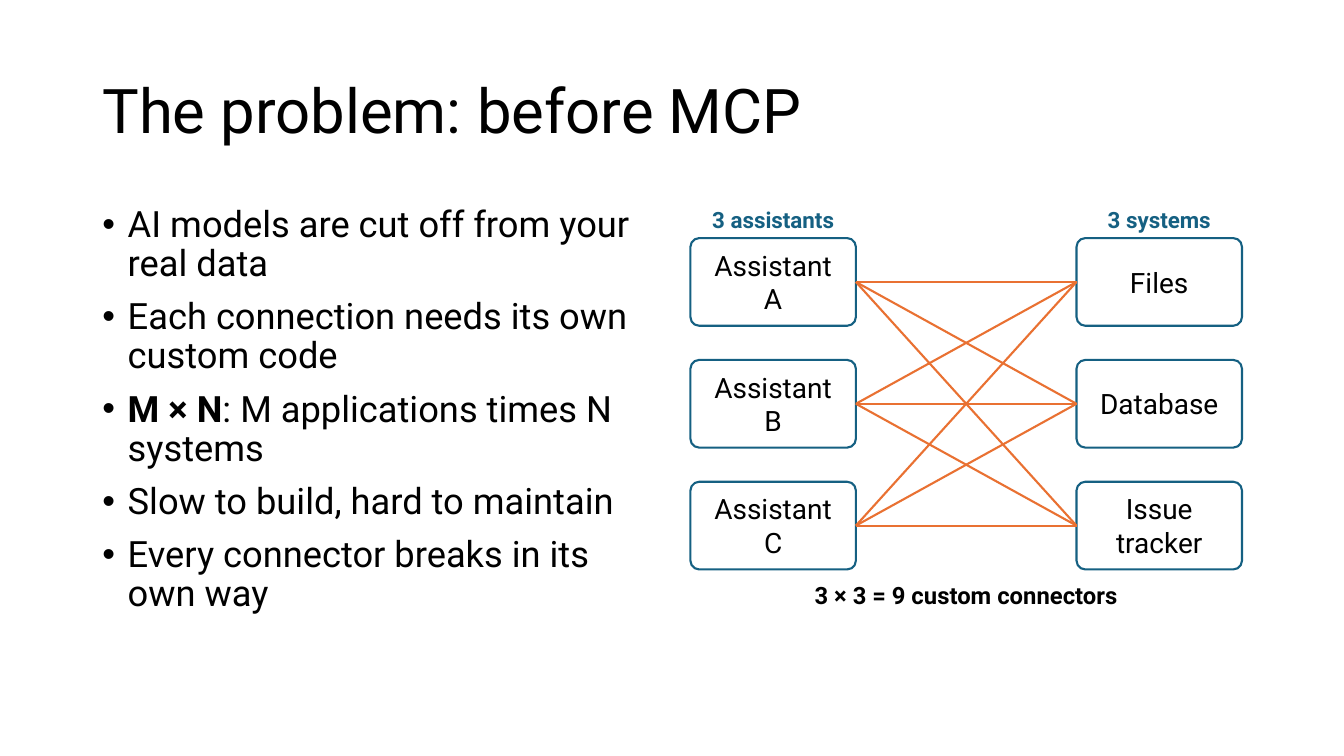
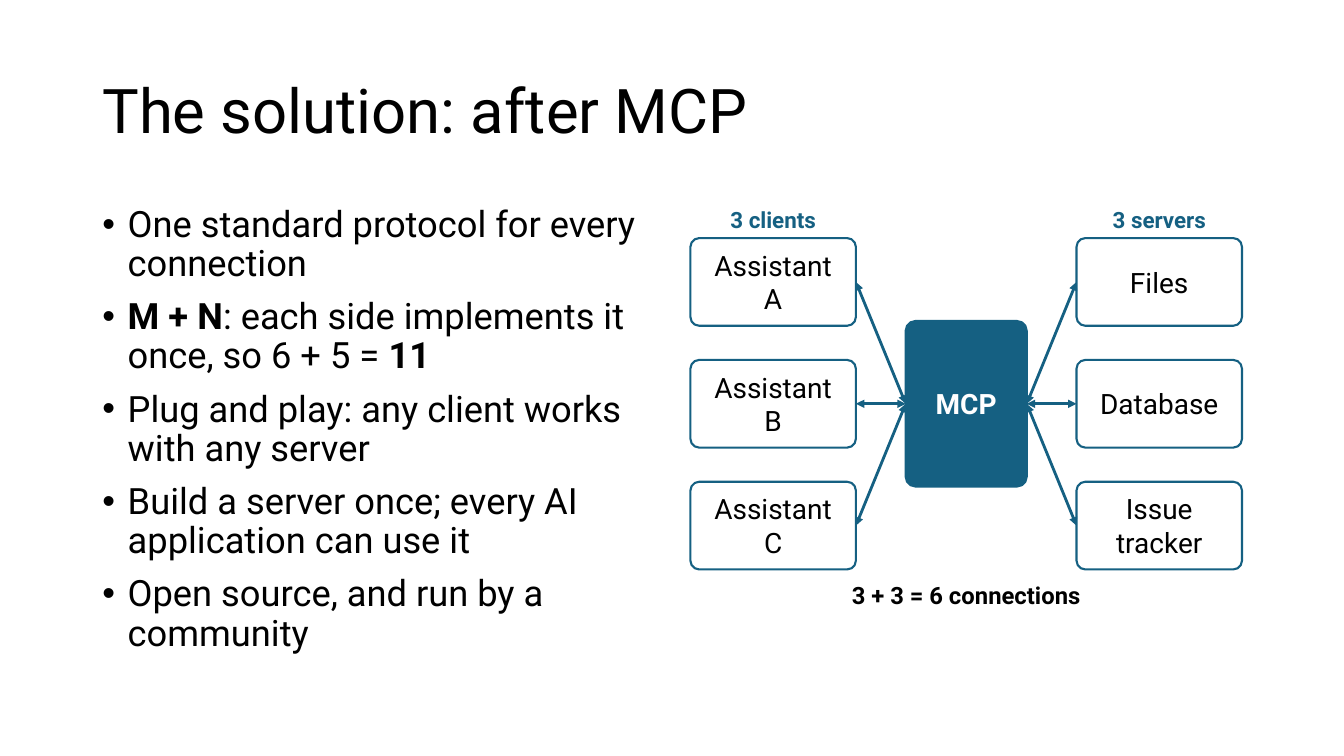
import itertools

import lxml.etree
import pptx
import pptx.dml.color
import pptx.enum.shapes
import pptx.enum.text
import pptx.oxml.ns
import pptx.util

Cm = pptx.util.Cm
Pt = pptx.util.Pt
SHAPES = pptx.enum.shapes
TEXT = pptx.enum.text
CENTER = TEXT.PP_ALIGN.CENTER
MIDDLE = TEXT.MSO_ANCHOR.MIDDLE

FONT = "Roboto"
BLACK, WHITE, BLUE, ORANGE = "000000", "FFFFFF", "156082", "E97132"

LEFT, MARGIN = 17.4, 2.33
WIDE, BOX_W, BOX_H = 13.9, 4.17, 2.21
RIGHT = LEFT + WIDE - BOX_W
TOP, STEP = 6, 3.07
MID = TOP + STEP + BOX_H / 2
HUB_W, HUB_H = 3.05, 4.17
CLIENTS = ["Assistant A", "Assistant B", "Assistant C"]
SYSTEMS = ["Files", "Database", "Issue tracker"]


def paint(code):
    """Turn a hex string into a colour."""
    return pptx.dml.color.RGBColor.from_string(code)


def add_mark(para):
    """Give a paragraph a hanging round bullet."""
    props = para._p.get_or_add_pPr()
    props.set("marL", str(Cm(0.64)))
    props.set("indent", str(-Cm(0.64)))
    qn = pptx.oxml.ns.qn
    lxml.etree.SubElement(props, qn("a:buFont")).set("typeface", "Arial")
    lxml.etree.SubElement(props, qn("a:buChar")).set("char", "•")


def write(frame, *lines, size=20, color=BLACK, bold=False, align=None,
          anchor=MIDDLE, space=None, gap=0, marks=False):
    """Fill a frame with lines in which ** switches bold on and off."""
    frame.word_wrap = True
    frame.vertical_anchor = anchor
    for row, line in enumerate(lines):
        para = frame.add_paragraph() if row else frame.paragraphs[0]
        if marks:
            add_mark(para)
        para.alignment = align
        para.line_spacing = space
        if row:
            para.space_before = Pt(gap)
        for turn, part in enumerate(line.split("**")):
            if part:
                run = para.add_run()
                run.text = part
                run.font.name = FONT
                run.font.size = Pt(size)
                run.font.bold = bold or turn % 2 == 1
                run.font.color.rgb = paint(color)


def add_text(slide, x, y, w, h, *lines, **style):
    """Add a text box and return its frame."""
    frame = slide.shapes.add_textbox(Cm(x), Cm(y), Cm(w), Cm(h)).text_frame
    write(frame, *lines, **style)
    return frame


def add_label(slide, x, y, w, text, **style):
    """Add a bold centred label with tight margins."""
    frame = add_text(slide, x, y, w, 0.93, text, bold=True, align=CENTER, **style)
    frame.margin_left = frame.margin_right = Cm(0.08)
    frame.margin_top = frame.margin_bottom = 0


def add_box(slide, x, y, w, h, text, fill=WHITE, curve=0.1, **style):
    """Add a rounded box with centred text."""
    kind = SHAPES.MSO_SHAPE.ROUNDED_RECTANGLE
    box = slide.shapes.add_shape(kind, Cm(x), Cm(y), Cm(w), Cm(h))
    box.adjustments[0] = curve
    box.shadow.inherit = False
    box.fill.solid()
    box.fill.fore_color.rgb = paint(fill)
    box.line.color.rgb = paint(BLUE)
    box.line.width = Pt(1.5)
    write(box.text_frame, text, align=CENTER, **style)
    return box


def link(slide, start, end, color, width, arrows=False):
    """Join the right side of one box to the left side of another."""
    line = slide.shapes.add_connector(SHAPES.MSO_CONNECTOR.STRAIGHT, 0, 0, 0, 0)
    line.begin_connect(start, 3)
    line.end_connect(end, 1)
    line.line.color.rgb = paint(color)
    line.line.width = Pt(width)
    qn = pptx.oxml.ns.qn
    props = line._element.spPr
    if arrows:
        for tip in ("a:headEnd", "a:tailEnd"):
            stroke = props.find(qn("a:ln"))
            lxml.etree.SubElement(stroke, qn(tip)).set("type", "triangle")
    lxml.etree.SubElement(props, qn("a:effectLst"))


def add_side(slide, x, head, names):
    """Add a headed column of boxes and return the boxes."""
    add_label(slide, x, 5.08, BOX_W, head, size=16, color=BLUE)
    return [add_box(slide, x, TOP + row * STEP, BOX_W, BOX_H, name)
            for row, name in enumerate(names)]


def add_page(deck, title, points, heads, note):
    """Add a slide with title, bullets and both columns."""
    slide = deck.slides.add_slide(deck.slide_layouts[6])
    add_text(slide, MARGIN, 1.02, 29.21, 3.68, title, size=44, space=0.9)
    add_text(slide, MARGIN, 5.07, 14.4, 12.09, *points, size=25.9, space=0.9,
             gap=10, marks=True, anchor=TEXT.MSO_ANCHOR.TOP)
    left = add_side(slide, LEFT, heads[0], CLIENTS)
    right = add_side(slide, RIGHT, heads[1], SYSTEMS)
    add_label(slide, LEFT, 14.52, WIDE, note, size=17)
    return slide, left, right


def add_before(deck):
    """Add the slide where every pair has its own link."""
    points = [
        "AI models are cut off from your real data",
        "Each connection needs its own custom code",
        "**M × N**: M applications times N systems",
        "Slow to build, hard to maintain",
        "Every connector breaks in its own way",
    ]
    slide, left, right = add_page(
        deck, "The problem: before MCP", points,
        ("3 assistants", "3 systems"), "3 × 3 = 9 custom connectors")
    for start, end in itertools.product(left, right):
        link(slide, start, end, ORANGE, 1.5)


def add_after(deck):
    """Add the slide where all boxes link to one hub."""
    points = [
        "One standard protocol for every connection",
        "**M + N**: each side implements it once, so 6 + 5 = **11**",
        "Plug and play: any client works with any server",
        "Build a server once; every AI application can use it",
        "Open source, and run by a community",
    ]
    slide, left, right = add_page(
        deck, "The solution: after MCP", points,
        ("3 clients", "3 servers"), "3 + 3 = 6 connections")
    hub = add_box(slide, LEFT + (WIDE - HUB_W) / 2, MID - HUB_H / 2, HUB_W, HUB_H,
                  "MCP", fill=BLUE, curve=0.08, color=WHITE, bold=True)
    pairs = [(box, hub) for box in left] + [(hub, box) for box in right]
    for start, end in pairs:
        link(slide, start, end, BLUE, 2, arrows=True)


def main():
    """Build and save the deck."""
    deck = pptx.Presentation()
    deck.slide_width = Cm(33.87)
    deck.slide_height = Cm(19.05)
    add_before(deck)
    add_after(deck)
    deck.save("out.pptx")


if __name__ == "__main__":
    main()
